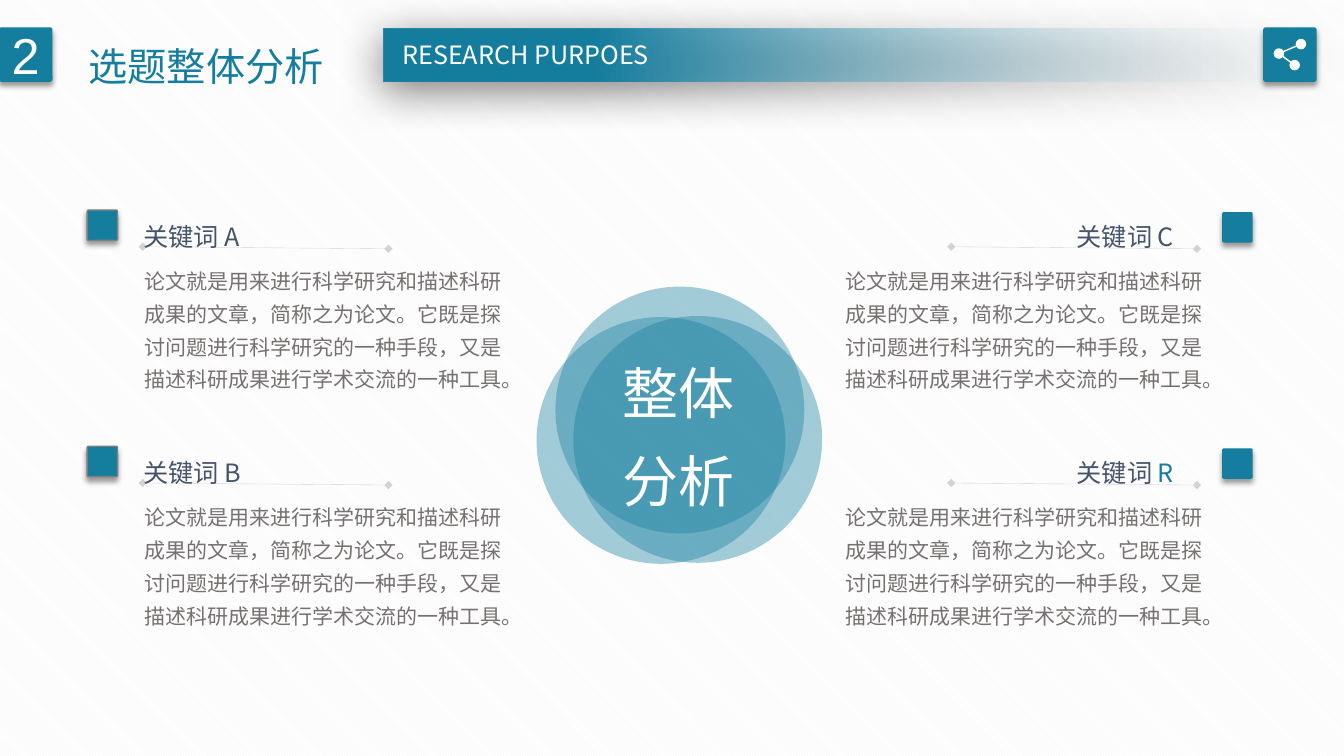
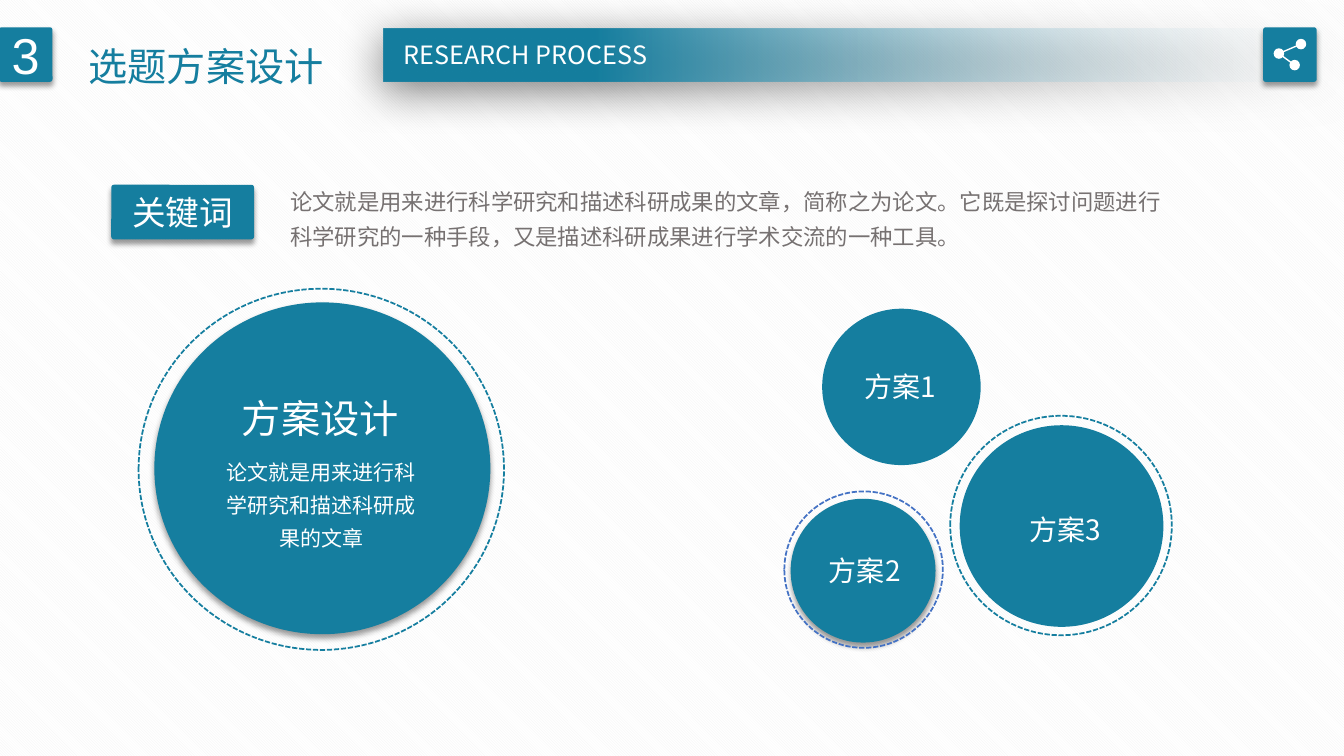
from dataclasses import dataclass
from typing import Any, NamedTuple, Optional

from lxml.etree import SubElement
from pptx import Presentation
from pptx.dml.color import RGBColor
from pptx.enum.dml import MSO_LINE, MSO_PATTERN
from pptx.enum.shapes import MSO_CONNECTOR, MSO_SHAPE
from pptx.enum.text import MSO_ANCHOR, PP_ALIGN
from pptx.oxml.ns import qn
from pptx.util import Emu, Pt

EMU_PER_PX = 9525
TEAL, WHITE, SLATE, GRAY = "157E9F", "FFFFFF", "44546A", "767171"
CJK_FONT, LATIN_FONT = "Noto Sans CJK SC", "Arial"
BODY = (
    "论文就是用来进行科学研究和描述科研成果的文章，简称之为论文。"
    "它既是探讨问题进行科学研究的一种手段，又是描述科研成果进行学术交流的一种工具。"
)


class Box(NamedTuple):
    x: int
    y: int
    w: int
    h: int


class Shadow(NamedTuple):
    alpha: int
    blur: int
    distance: int
    angle: int


class Outline(NamedTuple):
    color: str
    width: float
    dash: Optional[MSO_LINE] = None


@dataclass(frozen=True)
class TextStyle:
    size: int
    color: str
    spacing: float = 1.0
    align: PP_ALIGN = PP_ALIGN.LEFT
    font: str = CJK_FONT


@dataclass(frozen=True)
class Keyword:
    letter: str
    column: int
    row: int
    letter_color: str = SLATE


@dataclass(frozen=True)
class Column:
    square_x: int
    square_y: int
    heading_x: int
    rule_x: int
    body_x: int
    outline: Optional[Outline] = None


@dataclass(frozen=True)
class Disc:
    box: Box
    shadow: Optional[Shadow] = None
    ring: Optional[Box] = None
    ring_color: str = TEAL
    label: str = ""
    label_box: Optional[Box] = None


SOFT = Shadow(40, 4, 3, 90)
DEEP = Shadow(50, 31, 6, 97)

TITLE = TextStyle(28, TEAL, 1.5)
SUBTITLE = TextStyle(18, WHITE, align=PP_ALIGN.CENTER)
NUMBER = TextStyle(36, WHITE, align=PP_ALIGN.CENTER, font=LATIN_FONT)
TAG = TextStyle(24, WHITE, align=PP_ALIGN.CENTER, font=LATIN_FONT)
HEADING = TextStyle(18, SLATE, 1.3)
CENTER = TextStyle(40, WHITE, 1.3, PP_ALIGN.CENTER)
DISC_TITLE = TextStyle(28, WHITE, 1.5)
DISC_BODY = TextStyle(15, WHITE, 1.3, PP_ALIGN.CENTER)
DISC_LABEL = TextStyle(20, WHITE)
KEYWORD_BODY = TextStyle(15, GRAY, 1.3)
INTRO = TextStyle(16, GRAY, 1.3)

ROW_PITCH = 225
COLUMNS = (
    Column(83, 200, 127, 136, 128, Outline("7F7F7F", 1)),
    Column(1164, 202, 1016, 906, 796),
)
KEYWORDS = (
    Keyword("A", 0, 0),
    Keyword("B", 0, 1),
    Keyword("C", 1, 0),
    Keyword("R", 1, 1, TEAL),
)
CENTER_CIRCLES = ((511, 302), (529, 273), (546, 301))
DISCS = (
    Disc(Box(147, 288, 320, 316), SOFT, Box(132, 275, 348, 344)),
    Disc(Box(783, 294, 151, 149), label="方案1", label_box=Box(814, 347, 107, 41)),
    Disc(Box(753, 475, 138, 137), SOFT, Box(747, 468, 151, 149), "4472C4",
         "方案2", Box(780, 522, 107, 41)),
    Disc(Box(914, 405, 194, 192), None, Box(905, 396, 211, 209), TEAL,
         "方案3", Box(971, 483, 107, 41)),
)


def px(n: int) -> Emu:
    return Emu(n * EMU_PER_PX)


def rgb(color: str) -> RGBColor:
    return RGBColor.from_string(color)


def apply(target: Any, values: dict[str, Any]) -> None:
    for name, value in values.items():
        setattr(target, name, value)


def set_alpha(s: Any, percent: int) -> None:
    """Make the first colour of a shape or line partly transparent."""
    color = next(s.element.iter(qn("a:srgbClr")))
    SubElement(color, qn("a:alpha")).set("val", str(percent * 1000))


def add_shadow(s: Any, shadow: Shadow) -> None:
    effects = s.element.spPr.find(qn("a:effectLst"))
    outer = SubElement(effects, qn("a:outerShdw"), {
        "blurRad": str(Pt(shadow.blur)),
        "dist": str(Pt(shadow.distance)),
        "dir": str(shadow.angle * 60000),
        "algn": "t",
        "rotWithShape": "0",
    })
    color = SubElement(outer, qn("a:srgbClr"), val="000000")
    SubElement(color, qn("a:alpha"), val=str(shadow.alpha * 1000))


def write(tf: Any, runs: list[tuple[str, str]], style: TextStyle) -> None:
    """Fill a text frame with one paragraph of (text, colour) runs."""
    tf.word_wrap = True
    p = tf.paragraphs[0]
    apply(p, {"alignment": style.align, "line_spacing": style.spacing})
    for text, color in runs:
        r = p.add_run()
        r.text = text
        apply(r.font, {"name": style.font, "size": Pt(style.size)})
        r.font.color.rgb = rgb(color)
        SubElement(r.font._element, qn("a:ea"), typeface=CJK_FONT)


def add_text(slide: Any, box: Box, text: str, style: TextStyle) -> None:
    add_runs(slide, box, [(text, style.color)], style)


def add_runs(slide: Any, box: Box, runs: list[tuple[str, str]], style: TextStyle) -> None:
    write(slide.shapes.add_textbox(*map(px, box)).text_frame, runs, style)


def add_shape(slide: Any, kind: MSO_SHAPE, box: Box, fill: Optional[str] = TEAL,
              outline: Optional[Outline] = None, shadow: Optional[Shadow] = None) -> Any:
    s = slide.shapes.add_shape(kind, *map(px, box))
    s.shadow.inherit = False
    if fill:
        s.fill.solid()
        s.fill.fore_color.rgb = rgb(fill)
    else:
        s.fill.background()
    if outline:
        s.line.color.rgb = rgb(outline.color)
        apply(s.line, {"width": Pt(outline.width), "dash_style": outline.dash})
    else:
        s.line.fill.background()
    if shadow:
        add_shadow(s, shadow)
    return s


def add_tile(slide: Any, box: Box, text: str = "", style: TextStyle = NUMBER,
             outline: Optional[Outline] = None) -> None:
    """Draw a teal square-cornered tile with a soft shadow."""
    s = add_shape(slide, MSO_SHAPE.ROUNDED_RECTANGLE, box, outline=outline, shadow=SOFT)
    s.adjustments[0] = 0.05
    if text:
        s.text_frame.vertical_anchor = MSO_ANCHOR.MIDDLE
        write(s.text_frame, [(text, style.color)], style)


def add_line(slide: Any, start: tuple[int, int], end: tuple[int, int],
             color: str, width: float) -> Any:
    s = slide.shapes.add_connector(MSO_CONNECTOR.STRAIGHT, *map(px, start + end))
    s.line.color.rgb = rgb(color)
    s.line.width = Pt(width)
    SubElement(s.element.spPr, qn("a:effectLst"))
    return s


def add_share_icon(slide: Any) -> None:
    add_tile(slide, Box(1203, 26, 51, 52))
    hub, upper, lower = (1218, 51), (1239, 42), (1233, 62)
    for tip in (upper, lower):
        add_line(slide, hub, tip, WHITE, 1)
    for x, y in (hub, upper, lower):
        add_shape(slide, MSO_SHAPE.OVAL, Box(x - 5, y - 5, 10, 10), WHITE)


def add_header(slide: Any, number: str, title: str, subtitle: str) -> None:
    band = add_shape(slide, MSO_SHAPE.RECTANGLE, Box(365, 27, 915, 51), shadow=DEEP)
    band.fill.gradient()
    band.fill.gradient_angle = 180
    for stop, (position, color) in zip(band.fill.gradient_stops, ((0, "F7FAFD"), (0.78, TEAL))):
        stop.position = position
        stop.color.rgb = rgb(color)
    set_alpha(band, 0)
    add_tile(slide, Box(-1, 26, 51, 52), number)
    add_text(slide, Box(372, 33, 257, 38), subtitle, SUBTITLE)
    add_share_icon(slide)
    add_text(slide, Box(75, 13, 252, 78), title, TITLE)


def add_keyword(slide: Any, keyword: Keyword) -> None:
    col, dy = COLUMNS[keyword.column], keyword.row * ROW_PITCH
    add_tile(slide, Box(col.square_x, col.square_y + dy, 29, 29), outline=col.outline)
    add_runs(slide, Box(col.heading_x, 197 + dy, 122, 47),
             [("关键词 ", SLATE), (keyword.letter, keyword.letter_color)], HEADING)
    rule = add_line(slide, (col.rule_x, 235 + dy), (col.rule_x + 234, 237 + dy), "808080", 0.25)
    set_alpha(rule, 33)
    for end in ("a:headEnd", "a:tailEnd"):
        SubElement(rule.line._get_or_add_ln(), qn(end), type="diamond")
    add_text(slide, Box(col.body_x, 244 + dy, 371, 135), BODY, KEYWORD_BODY)


def add_disc(slide: Any, disc: Disc) -> None:
    add_shape(slide, MSO_SHAPE.OVAL, disc.box, shadow=disc.shadow)
    if disc.ring:
        dashes = Outline(disc.ring_color, 1.25, MSO_LINE.SQUARE_DOT)
        add_shape(slide, MSO_SHAPE.OVAL, disc.ring, None, dashes)
    if disc.label_box:
        add_text(slide, disc.label_box, disc.label, DISC_LABEL)


def build_analysis(slide: Any) -> None:
    add_header(slide, "2", "选题整体分析", "RESEARCH PURPOES")
    for x, y in CENTER_CIRCLES:
        set_alpha(add_shape(slide, MSO_SHAPE.OVAL, Box(x, y, 237, 235)), 39)
    add_text(slide, Box(566, 318, 160, 178), "整体分析", CENTER)
    for keyword in KEYWORDS:
        add_keyword(slide, keyword)


def build_design(slide: Any) -> None:
    add_header(slide, "3", "选题方案设计", "RESEARCH PROCESS")
    for disc in DISCS:
        add_disc(slide, disc)
    add_text(slide, Box(221, 348, 170, 78), "方案设计", DISC_TITLE)
    add_text(slide, Box(202, 426, 208, 104), "论文就是用来进行科学研究和描述科研成果的文章", DISC_BODY)
    add_tile(slide, Box(106, 176, 136, 52), "关键词", TAG)
    add_text(slide, Box(267, 167, 865, 77), BODY, INTRO)


def main() -> None:
    prs = Presentation()
    apply(prs, {"slide_width": px(1280), "slide_height": px(720)})
    fill = prs.slide_master.background.fill
    fill.patterned()
    fill.pattern = MSO_PATTERN.DARK_DOWNWARD_DIAGONAL
    fill.fore_color.rgb, fill.back_color.rgb = rgb("F2F2F2"), rgb(WHITE)
    for build in (build_analysis, build_design):
        build(prs.slides.add_slide(prs.slide_layouts[6]))
    prs.save("out.pptx")


if __name__ == "__main__":
    main()
